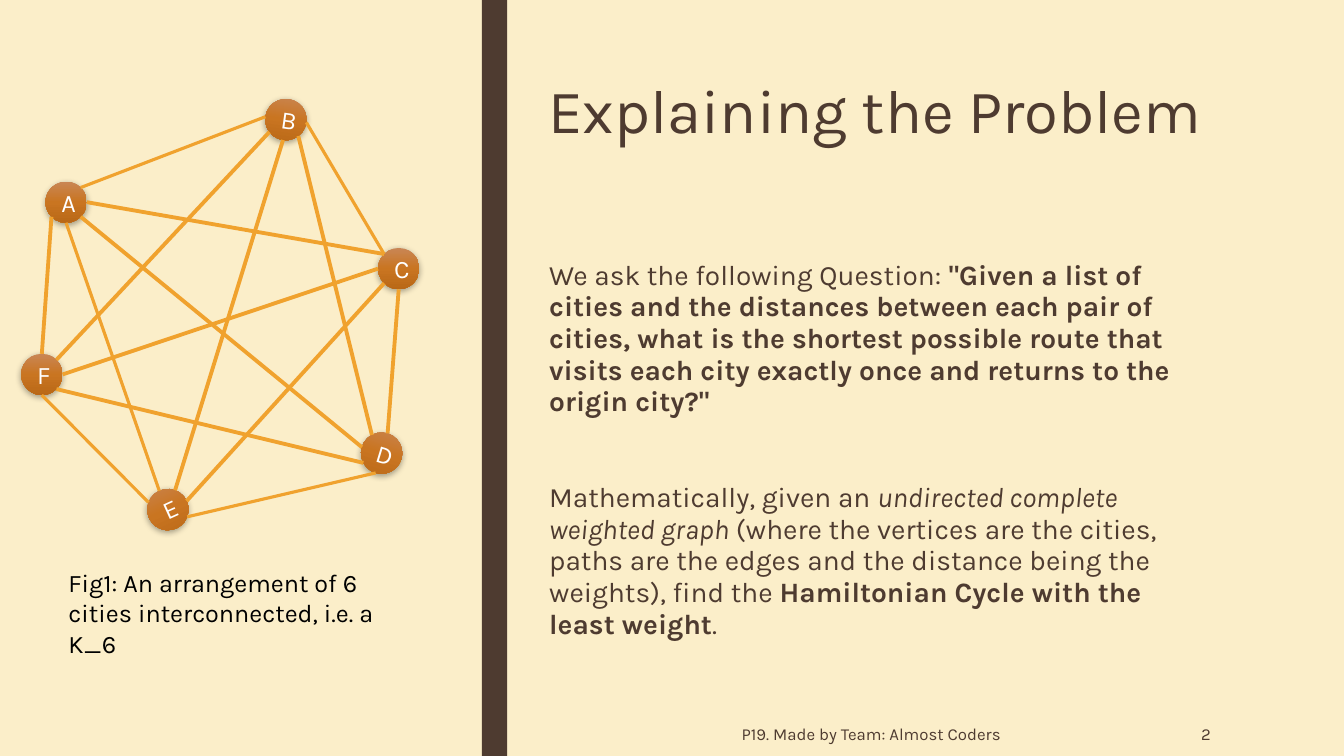
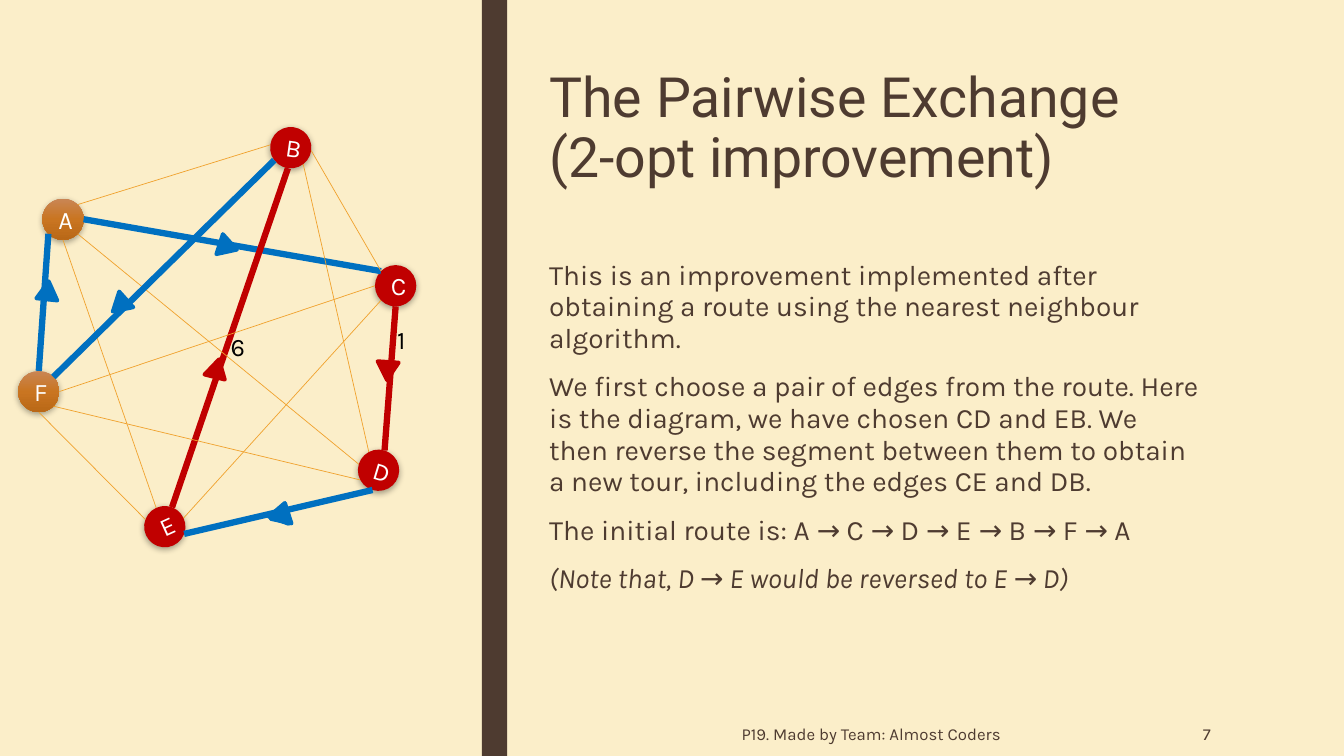
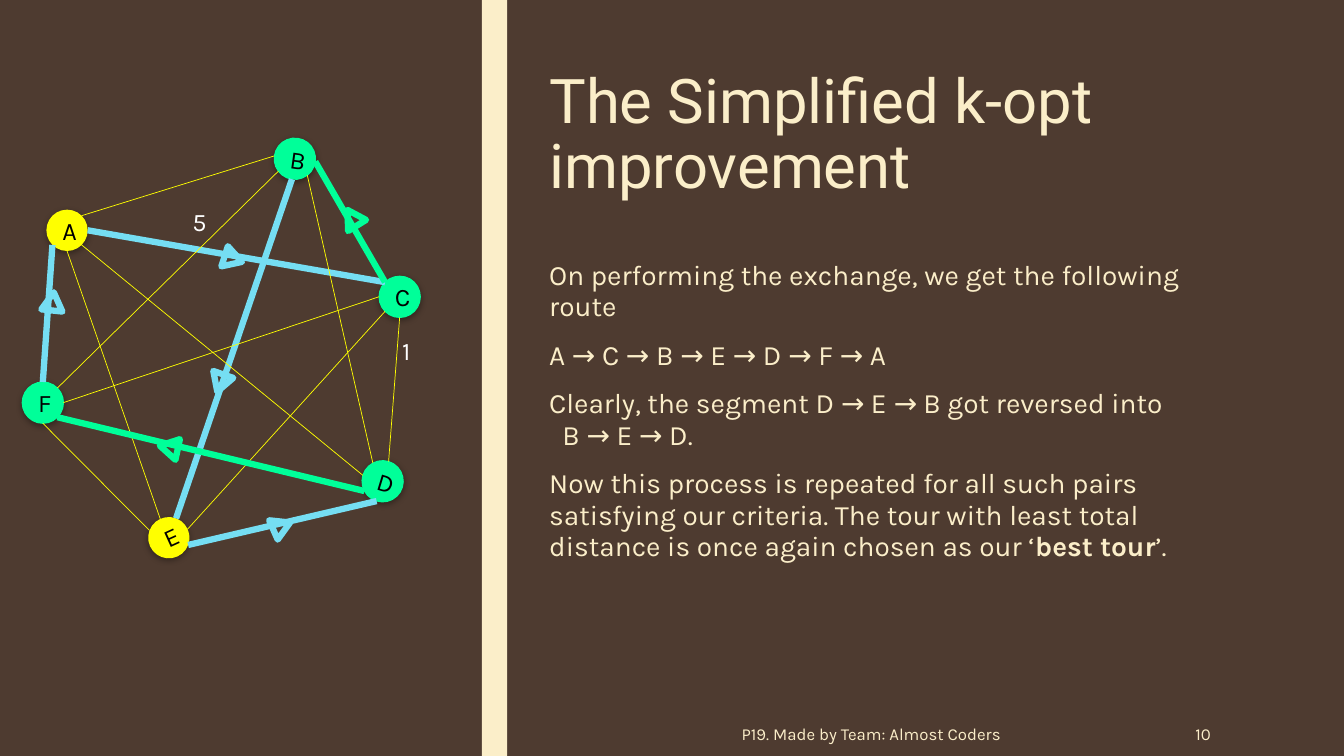
from copy import deepcopy
from math import cos, radians, sin

from lxml import etree
from pptx import Presentation
from pptx.dml.color import RGBColor
from pptx.enum.shapes import MSO_CONNECTOR, MSO_SHAPE
from pptx.enum.text import MSO_ANCHOR, MSO_AUTO_SIZE, PP_ALIGN
from pptx.oxml.ns import qn
from pptx.util import Pt

STRAIGHT = MSO_CONNECTOR.STRAIGHT
OVAL, RECT, TRIANGLE = MSO_SHAPE.OVAL, MSO_SHAPE.RECTANGLE, MSO_SHAPE.ISOSCELES_TRIANGLE
TOP, MIDDLE = MSO_ANCHOR.TOP, MSO_ANCHOR.MIDDLE
LEFT, CENTER, RIGHT = PP_ALIGN.LEFT, PP_ALIGN.CENTER, PP_ALIGN.RIGHT
TITLE_ONLY = 5

COLORS = {
    "cream": "FBEEC9", "brown": "4E3B30", "orange": "F0A22E", "white": "FFFFFF",
    "black": "000000", "red": "C00000", "blue": "0070C0", "yellow": "FFFF00",
    "green": "00FF99", "cyan": "75DEF3",
    "copper light": "C98655", "copper": "C97521", "copper dark": "B96817",
}
COPPER_STOPS = [(0, "copper light"), (0.5, "copper"), (1, "copper dark")]
FONT = "Karla"
FOOTER = "P19. Made by Team: Almost Coders"

BAND = (344.2, 0, 18, 540)
BODY_BOX = (385.2, 182.2, 478.8, 279.4)
FOOTER_BOX = (227.5, 508.3, 494.6, 31.7)
NUMBER_BOX = (745.9, 508.3, 126, 31.7)
TITLE_BOX = (385.2, 46.8, 428.4, 115.2)

# City centres relative to city A, and the turn of each city's disc in degrees
CITIES = {"A": (0, 0), "E": (72.7, 219.6), "D": (225.4, 179.3),
          "F": (-17.3, 123.1), "C": (237.6, 47.5), "B": (162.7, -51.1)}
TURNS = {"E": -24.5, "D": 16.9, "B": 7.9}
RADIUS = 14.75
ARROW_W, ARROW_H = 15.1, 13

# Each road joins a site on one disc to a site on another;
# the eight sites run counterclockwise from 0 at the top
ROADS = [("A4", "E0"), ("F4", "E1"), ("D4", "E5"), ("A7", "B2"), ("A6", "C1"),
         ("D0", "C4"), ("C1", "B6"), ("E6", "C3"), ("E7", "B4"), ("D1", "B5"),
         ("A5", "D2"), ("F5", "D3"), ("F6", "C2"), ("F7", "B3"), ("A3", "F0")]

SLIDES = [
    {
        "title": "Explaining the Problem", "title_box": (384.5, 54, 503.3, 115.2),
        "title_font": (FONT, 44), "number": "2", "paper": "cream", "ink": "brown",
        "body": [
            {"runs": [("We ask the following Question: ", ""),
                      ('"Given a list of cities and the distances between each pair of '
                       'cities, what is the shortest possible route that visits each '
                       'city exactly once and returns to the origin city?"', "b")]},
            {"before": 44,
             "runs": [("Mathematically, given an ", ""),
                      ("undirected complete weighted graph", "i"),
                      (" (where the vertices are the cities, paths are the edges and "
                       "the distance being the weights), find the ", ""),
                      ("Hamiltonian Cycle with the least weight", "b"), (".", "")]},
        ],
        "origin": (47.2, 144.4), "moved": {"B": (157, -59)},
        "discs": {}, "disc": "copper", "letter": "white",
        "road": ("orange", 2.75),
        "roads": {pair: ("orange", 2.25) for pair in ("AE", "FE", "DE", "AB", "CB")},
        "arrows": [], "arrow_line": 0, "solid": True,
        "label": "black", "labels": [],
        "caption": ("Fig1: An arrangement of 6 cities interconnected, i.e. a K_6",
                    (41.8, 401.8, 253.4, 51)),
    },
    {
        "title": "The Pairwise Exchange (2-opt improvement)", "title_box": TITLE_BOX,
        "title_font": ("Roboto", 39.6), "number": "7", "paper": "cream", "ink": "brown",
        "body": [
            {"runs": [("This is an improvement implemented after obtaining a route using "
                       "the nearest neighbour algorithm.", "")]},
            {"runs": [("We first choose a pair of edges from the route. Here is the "
                       "diagram, we have chosen CD and EB. We then reverse the segment "
                       "between them to obtain a new tour, including the edges CE and "
                       "DB.", "")]},
            {"runs": [("The initial route is: A → C → D → E → B → F → A", "")]},
            {"runs": [("(Note that, D → E would be reversed to E → D)", "i")]},
        ],
        "origin": (45, 156.6), "moved": {},
        "discs": dict.fromkeys("EDCB", "red"), "disc": "copper", "letter": "white",
        "road": ("orange", 0.5),
        "roads": {**dict.fromkeys(("DE", "AC", "FB", "AF"), ("blue", 4.5)),
                  **dict.fromkeys(("DC", "EB"), ("red", 4.5))},
        "arrows": [(155.5, 169.9, 107.9, "blue"), (269.3, 258.5, 183.7, "red"),
                   (192.2, 362.2, 252.3, "blue"), (190.8, 361.4, 259.8, "blue"),
                   (144.7, 259.2, 253.9, "red"), (77.8, 211.7, 228, "blue"),
                   (26.6, 200.9, 6, "blue")],
        "arrow_line": 2.75, "solid": True,
        "label": "black", "labels": [("1", 276.5, 228.2), ("6", 157.7, 233.3)],
    },
    {
        "title": "The Simplified k-opt improvement", "title_box": TITLE_BOX,
        "title_font": ("Roboto", 44), "number": "10", "paper": "brown", "ink": "cream",
        "body": [
            {"runs": [("On performing the exchange, we get the following route", "")]},
            {"runs": [("A → C → B → E → D → F → A", "")]},
            {"after": 0,
             "runs": [("Clearly, the segment D → E → B got reversed into", "")]},
            {"before": 0, "indent": 9.5, "runs": [("B → E → D.", "")]},
            {"runs": [("Now this process is repeated for all such pairs satisfying our "
                       "criteria. The tour with least total distance is once again "
                       "chosen as our ‘", ""), ("best tour", "b"), ("’.", "")]},
        ],
        "origin": (47.9, 164.5), "moved": {},
        "discs": dict.fromkeys("DFCB", "green"), "disc": "yellow", "letter": "black",
        "road": ("yellow", 0.5),
        "roads": {**dict.fromkeys(("DE", "AC", "EB", "AF"), ("cyan", 4.5)),
                  **dict.fromkeys(("CB", "FD"), ("green", 4.5))},
        "arrows": [(159.1, 178.6, 107.9, "cyan"), (244.1, 149, 328.3, "green"),
                   (193.7, 369.4, 66, "cyan"), (149.8, 267.1, 199.3, "cyan"),
                   (113, 313.2, 282.1, "green"), (30.2, 208.8, 6, "cyan")],
        "arrow_line": 4.5, "solid": False,
        "label": "white", "labels": [("1", 280.1, 236.2), ("5", 130.3, 144)],
    },
]


def rgb(name):
    return RGBColor.from_string(COLORS[name])


def pts(values):
    return [Pt(v) for v in values]


def style_run(r, size, color, font=FONT, style=""):
    r.font.name, r.font.size = font, Pt(size)
    r.font.color.rgb = rgb(color)
    r.font.bold, r.font.italic = "b" in style, "i" in style


def add_text(slide, text, box, size, color, align=LEFT, anchor=TOP, wrap=True):
    tf = slide.shapes.add_textbox(*pts(box)).text_frame
    tf.word_wrap, tf.vertical_anchor = wrap, anchor
    tf.text = text
    p = tf.paragraphs[0]
    p.alignment = align
    style_run(p.runs[0], size, color)


def add_title(slide, data):
    sp = slide.shapes.title
    sp.left, sp.top, sp.width, sp.height = pts(data["title_box"])
    tf = sp.text_frame
    tf.text = data["title"]
    tf.word_wrap, tf.auto_size, tf.vertical_anchor = True, MSO_AUTO_SIZE.NONE, TOP
    p = tf.paragraphs[0]
    p.alignment, p.line_spacing = LEFT, 0.89
    font, size = data["title_font"]
    style_run(p.runs[0], size, data["ink"], font)


def add_body(slide, paragraphs, color):
    tf = slide.shapes.add_textbox(*pts(BODY_BOX)).text_frame
    tf.word_wrap = True
    for i, item in enumerate(paragraphs):
        p = tf.add_paragraph() if i else tf.paragraphs[0]
        p.line_spacing = 0.94
        p.space_before = Pt(item.get("before", 10))
        p.space_after = Pt(item.get("after", 2))
        if "indent" in item:
            p._p.get_or_add_pPr().set("marL", str(Pt(item["indent"])))
        for text, style in item["runs"]:
            r = p.add_run()
            r.text = text
            style_run(r, 20, color, style=style)


def add_frame(slide, data):
    """Background, band, footer and slide number."""
    fill = slide.background.fill
    fill.solid()
    fill.fore_color.rgb = rgb(data["paper"])
    band = slide.shapes.add_shape(RECT, *pts(BAND))
    band.shadow.inherit = False
    band.fill.solid()
    band.fill.fore_color.rgb = rgb(data["ink"])
    band.line.fill.background()
    for text, box in ((FOOTER, FOOTER_BOX), (data["number"], NUMBER_BOX)):
        add_text(slide, text, box, 12, data["ink"], RIGHT, MIDDLE)


def fill_copper(sp):
    sp.fill.gradient()
    sp.fill.gradient_angle = 270
    stops = sp._element.spPr.find(".//" + qn("a:gsLst"))
    stops.append(deepcopy(stops[0]))
    for stop, (position, color) in zip(sp.fill.gradient_stops, COPPER_STOPS):
        stop.position = position
        stop.color.rgb = rgb(color)


def add_soft_shadow(sp):
    sp.shadow.inherit = False
    effects = sp._element.spPr.find(qn("a:effectLst"))
    outer = etree.SubElement(effects, qn("a:outerShdw"), blurRad=str(Pt(4.5)),
                             dist=str(Pt(1.5)), dir="5400000", rotWithShape="0")
    color = etree.SubElement(outer, qn("a:srgbClr"), val=COLORS["black"])
    etree.SubElement(color, qn("a:alpha"), val="35000")


def add_city(slide, name, center, color, letter):
    x, y = center
    sp = slide.shapes.add_shape(
        OVAL, *pts((x - RADIUS, y - RADIUS, 2 * RADIUS, 2 * RADIUS)))
    sp.rotation = TURNS.get(name, 0)
    if color == "copper":
        fill_copper(sp)
    else:
        sp.fill.solid()
        sp.fill.fore_color.rgb = rgb(color)
    if color == "green":
        sp.line.color.rgb = rgb(color)
        sp.line.width = Pt(0.75)
    else:
        sp.line.fill.background()
    add_soft_shadow(sp)
    tf = sp.text_frame
    tf.text = name
    tf.vertical_anchor = MIDDLE
    p = tf.paragraphs[0]
    p.alignment = CENTER
    style_run(p.runs[0], 18, letter)


def site_point(site, centers):
    """Point on a disc's rim, for a site such as "A4"."""
    name, index = site
    x, y = centers[name]
    angle = radians(45 * int(index) - TURNS.get(name, 0))
    return x - RADIUS * sin(angle), y - RADIUS * cos(angle)


def add_road(slide, start, end, color, width):
    line = slide.shapes.add_connector(STRAIGHT, *pts(start + end))
    line.line.color.rgb = rgb(color)
    line.line.width = Pt(width)
    etree.SubElement(line._element.spPr, qn("a:effectLst"))


def add_arrow(slide, left, top, turn, color, width, solid):
    sp = slide.shapes.add_shape(TRIANGLE, *pts((left, top, ARROW_W, ARROW_H)))
    sp.rotation = turn
    sp.shadow.inherit = False
    if solid:
        sp.fill.solid()
        sp.fill.fore_color.rgb = rgb(color)
    else:
        sp.fill.background()
    sp.line.color.rgb = rgb(color)
    sp.line.width = Pt(width)


def add_graph(slide, data):
    ox, oy = data["origin"]
    centers = {name: (ox + x, oy + y)
               for name, (x, y) in {**CITIES, **data["moved"]}.items()}
    for name, center in centers.items():
        add_city(slide, name, center, data["discs"].get(name, data["disc"]),
                 data["letter"])
    for start, end in ROADS:
        color, width = data["roads"].get(start[0] + end[0], data["road"])
        add_road(slide, site_point(start, centers), site_point(end, centers),
                 color, width)
    for arrow in data["arrows"]:
        add_arrow(slide, *arrow, data["arrow_line"], data["solid"])
    for text, left, top in data["labels"]:
        add_text(slide, text, (left, top, 27, 29), 18, data["label"], wrap=False)


def main():
    prs = Presentation()
    prs.slide_width, prs.slide_height = Pt(960), Pt(540)
    for data in SLIDES:
        slide = prs.slides.add_slide(prs.slide_layouts[TITLE_ONLY])
        add_frame(slide, data)
        add_title(slide, data)
        add_body(slide, data["body"], data["ink"])
        add_graph(slide, data)
        if "caption" in data:
            text, box = data["caption"]
            add_text(slide, text, box, 18, "black")
    prs.save("out.pptx")


if __name__ == "__main__":
    main()
